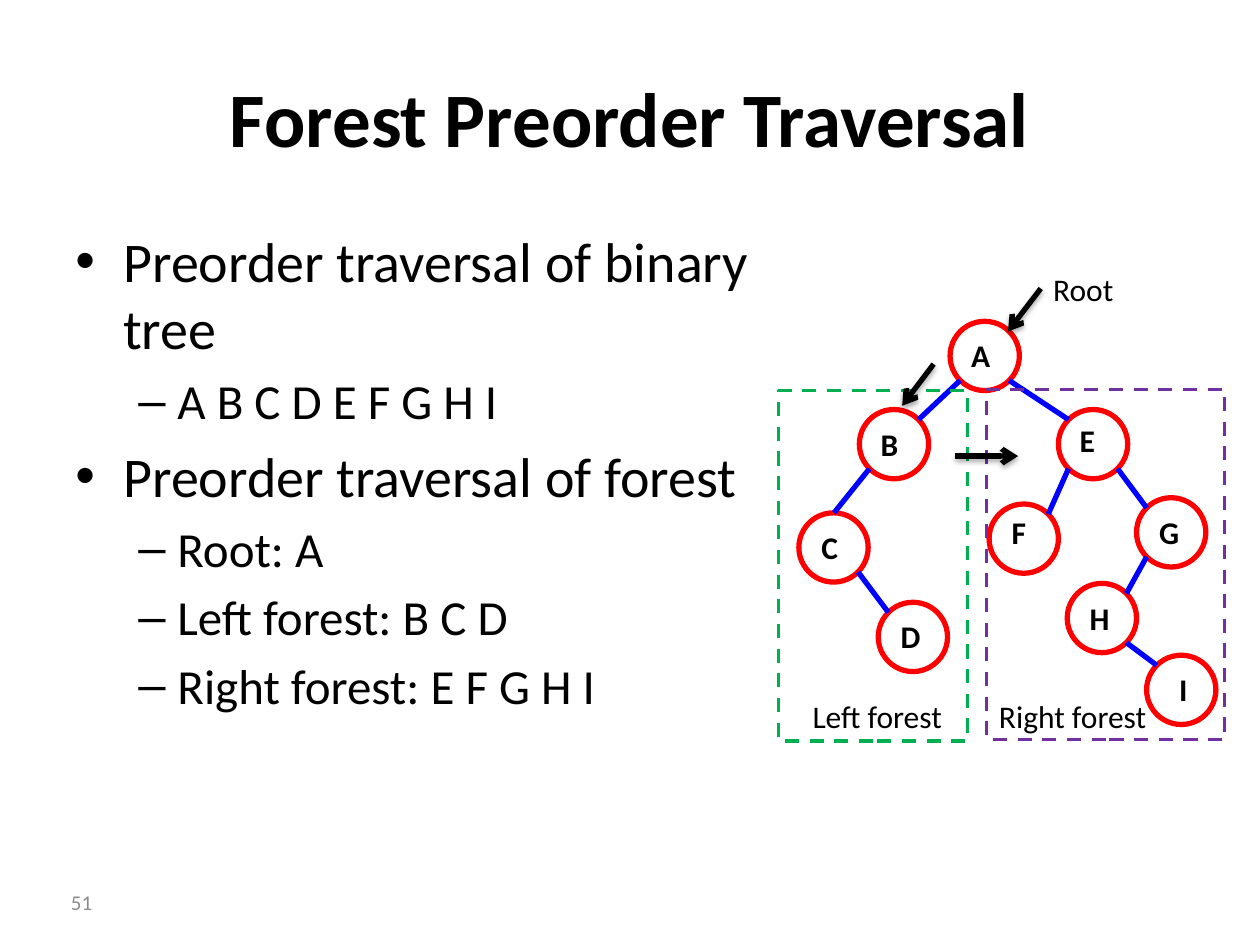
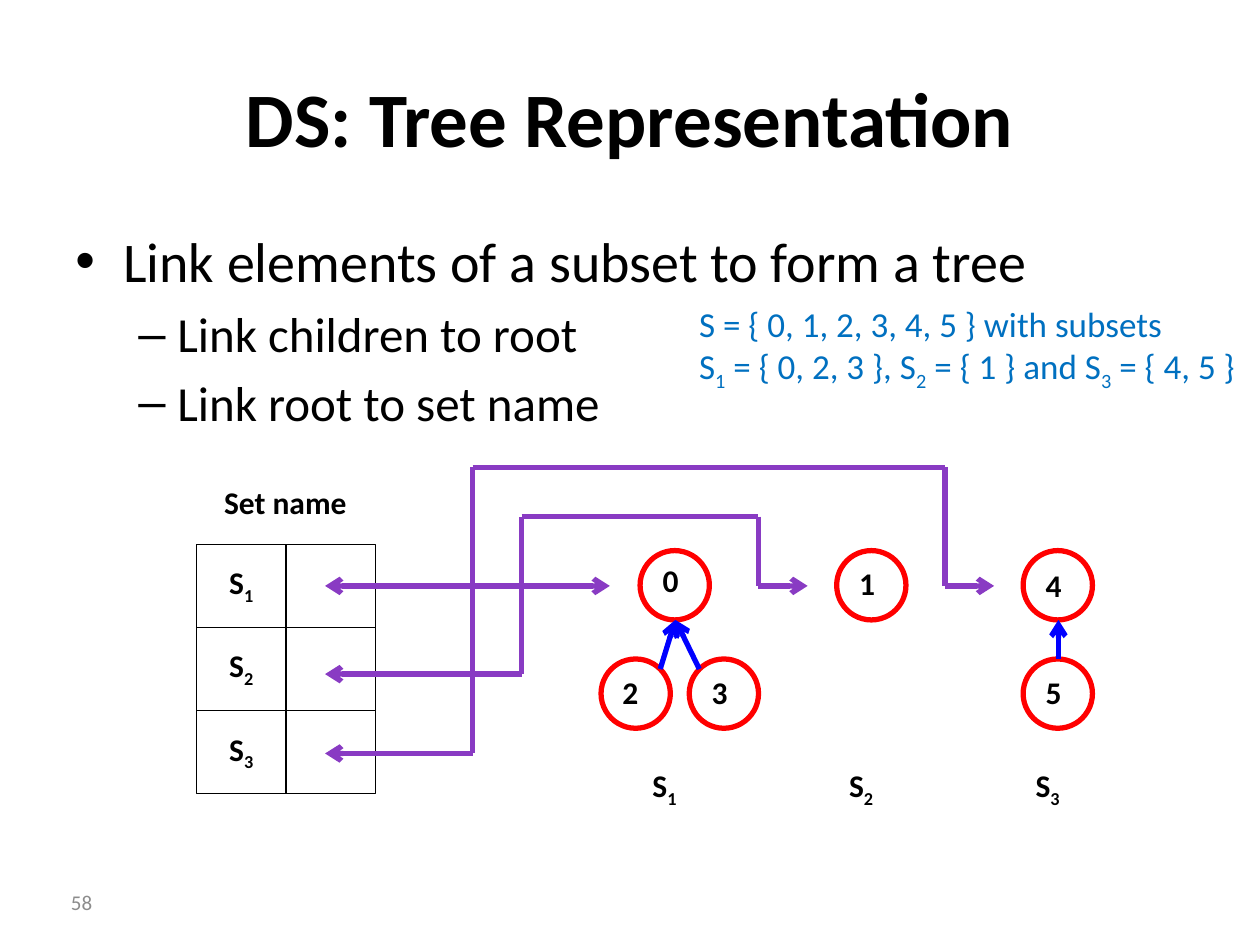
"""Build two slides on forest traversal and the tree representation of disjoint sets."""
from itertools import pairwise

from lxml import etree
from pptx import Presentation
from pptx.dml.color import RGBColor
from pptx.enum.dml import MSO_LINE
from pptx.enum.shapes import MSO_CONNECTOR, MSO_SHAPE
from pptx.enum.text import MSO_ANCHOR as ANCHOR, PP_ALIGN as ALIGN
from pptx.oxml import parse_xml
from pptx.oxml.ns import nsdecls, qn
from pptx.util import Pt

PX = 9144
FONT = "Calibri"
COLORS = {
    "black": "000000", "gray": "8C8C8C", "red": "FF0000", "blue": "0000FF",
    "green": "00B050", "violet": "7030A0", "purple": "893BC3", "sky": "0070C0",
}
RGB = {name: RGBColor.from_string(value) for name, value in COLORS.items()}
BULLETS = {"•": (0, 38, -38, 32), "–": (1, 81, -31, 28)}
NODE = 55
SITES = {"n": (28, 0), "s": (28, 55), "nw": (8, 8), "ne": (47, 8), "sw": (8, 47), "se": (47, 47)}
SHADOW = (
    f'<a:effectLst {nsdecls("a")}><a:outerShdw blurRad="39370" dist="22860" dir="5400000" '
    'rotWithShape="0"><a:srgbClr val="000000"><a:alpha val="35000"/></a:srgbClr>'
    "</a:outerShdw></a:effectLst>"
)


def text(sp, content, size=18, bold=False, color="black", align=ALIGN.LEFT,
         anchor=ANCHOR.TOP, inset_y=5, wrap=True):
    """Fill a shape with lines; a leading bullet sets the level, underscores enclose subscripts."""
    tf = sp.text_frame
    tf.word_wrap, tf.vertical_anchor = wrap, anchor
    tf.margin_left = tf.margin_right = 10 * PX
    tf.margin_top = tf.margin_bottom = inset_y * PX
    for i, line in enumerate(content.split("\n")):
        p = tf.add_paragraph() if i else tf.paragraphs[0]
        p.alignment = align
        line_size = size
        if line[0] in BULLETS:
            p.level, margin, indent, line_size = BULLETS[line[0]]
            pPr = p._p.get_or_add_pPr()
            pPr.set("marL", str(margin * PX))
            pPr.set("indent", str(indent * PX))
            p.space_before = Pt(line_size * 0.2 if i else 0)
            etree.SubElement(pPr, qn("a:buFont"), typeface="Arial")
            etree.SubElement(pPr, qn("a:buChar"), char=line[0])
            line = line[1:]
        for j, piece in enumerate(line.split("_")):
            if not piece:
                continue
            r = p.add_run()
            r.text = piece
            r.font.name, r.font.size, r.font.bold = FONT, Pt(line_size), bold
            r.font.color.rgb = RGB[color]
            if j % 2:
                r._r.get_or_add_rPr().set("baseline", "-25000")


def connect(s, start, end, color, head=False, tail=False, shadow=False):
    """Draw a straight line with optional arrowheads at its start and end."""
    c = s.shapes.add_connector(MSO_CONNECTOR.STRAIGHT, *[v * PX for v in (*start, *end)])
    c.line.color.rgb = RGB[color]
    c.line.width = Pt(3)
    spPr = c._element.spPr
    ln = spPr.find(qn("a:ln"))
    for tag, wanted in (("a:headEnd", head), ("a:tailEnd", tail)):
        if wanted:
            etree.SubElement(ln, qn(tag), type="arrow")
    spPr.append(parse_xml(SHADOW if shadow else f'<a:effectLst {nsdecls("a")}/>'))


forest_nodes = {
    "A": (754, 255, 761, 252), "B": (682, 325, 689, 322), "C": (634, 407, 642, 404),
    "D": (697, 478, 705, 475), "E": (840, 325, 847, 319), "F": (785, 400, 793, 392),
    "G": (902, 395, 910, 392), "H": (847, 463, 855, 460), "I": (910, 520, 926, 517),
}
forest_edges = [
    ("A", "sw", "B", "ne"), ("A", "se", "E", "nw"), ("B", "sw", "C", "n"), ("C", "se", "D", "nw"),
    ("E", "sw", "F", "ne"), ("E", "se", "G", "nw"), ("G", "sw", "H", "ne"), ("H", "se", "I", "nw"),
]
set_nodes = {
    "0": (508, 437, 516, 430), "1": (664, 437, 672, 433), "2": (477, 523, 484, 519),
    "3": (547, 523, 555, 519), "4": (812, 437, 820, 434), "5": (812, 523, 820, 519),
}
set_edges = [("3", "nw", "0", "s"), ("2", "ne", "0", "s"), ("5", "n", "4", "s")]
forest_body = """•Preorder traversal of binary tree
–A B C D E F G H I
•Preorder traversal of forest
–Root: A
–Left forest: B C D
–Right forest: E F G H I"""
set_body = """•Link elements of a subset to form a tree
–Link children to root
–Link root to set name"""

prs = Presentation()
prs.slide_width, prs.slide_height = 1000 * PX, 750 * PX

for title, body, body_w, number, nodes, edges, arrows in (
    ("Forest Preorder Traversal", forest_body, 568, "51", forest_nodes, forest_edges, False),
    ("DS: Tree Representation", set_body, 900, "58", set_nodes, set_edges, True),
):
    s = prs.slides.add_slide(prs.slide_layouts[6])
    sp = s.shapes.add_textbox(50 * PX, 30 * PX, 900 * PX, 125 * PX)
    text(sp, title, size=44, bold=True, align=ALIGN.CENTER, anchor=ANCHOR.MIDDLE)
    sp = s.shapes.add_textbox(50 * PX, 175 * PX, body_w * PX, 495 * PX)
    text(sp, body)
    sp = s.shapes.add_textbox(30 * PX, 696 * PX, 53 * PX, 40 * PX)
    text(sp, number, size=12, color="gray", align=ALIGN.RIGHT, anchor=ANCHOR.MIDDLE)
    for name, (x, y, label_x, label_y) in nodes.items():
        sp = s.shapes.add_shape(MSO_SHAPE.OVAL, x * PX, y * PX, NODE * PX, NODE * PX)
        sp.shadow.inherit = False
        sp.fill.background()
        sp.line.color.rgb, sp.line.width = RGB["red"], Pt(3)
        sp = s.shapes.add_textbox(label_x * PX, label_y * PX, 39 * PX, 61 * PX)
        text(sp, name, bold=True, inset_y=15)
    for first, first_site, second, second_site in edges:
        start, end = [
            (nodes[name][0] + SITES[site][0], nodes[name][1] + SITES[site][1])
            for name, site in ((first, first_site), (second, second_site))
        ]
        connect(s, start, end, "blue", tail=arrows)

forest, sets = prs.slides

for x, y, w, color in ((618, 310, 150, "green"), (783, 309, 189, "violet")):
    sp = forest.shapes.add_shape(MSO_SHAPE.RECTANGLE, x * PX, y * PX, w * PX, 278 * PX)
    sp.shadow.inherit = False
    sp.fill.background()
    sp.line.color.rgb, sp.line.width = RGB[color], Pt(2)
    sp.line.dash_style = MSO_LINE.DASH
for label, x, y, w in (
    ("Root", 826, 209, 68), ("Left forest", 635, 548, 125), ("Right forest", 783, 548, 138),
):
    sp = forest.shapes.add_textbox(x * PX, y * PX, w * PX, 40 * PX)
    text(sp, label, wrap=False)
for start, end in (((826, 229), (800, 263)), ((741, 289), (716, 322)), ((758, 362), (808, 362))):
    connect(forest, start, end, "black", tail=True, shadow=True)

sp = sets.shapes.add_textbox(156 * PX, 368 * PX, 141 * PX, 61 * PX)
text(sp, "Set name", bold=True, align=ALIGN.CENTER, inset_y=15)
for row, tree_x in enumerate((508, 664, 812)):
    name = f"S_{row + 1}_"
    for col, content in enumerate((name, "")):
        sp = sets.shapes.add_shape(
            MSO_SHAPE.RECTANGLE, (156 + 71 * col) * PX, (432 + 66 * row) * PX, 71 * PX, 66 * PX)
        sp.shadow.inherit = False
        sp.fill.background()
        sp.line.color.rgb, sp.line.width = RGB["black"], Pt(0.75)
        if content:
            text(sp, content, bold=True, align=ALIGN.CENTER, inset_y=15)
    sp = sets.shapes.add_textbox(tree_x * PX, 593 * PX, 62 * PX, 66 * PX)
    text(sp, name, bold=True, inset_y=15)

for route in (
    [(258, 465), (484, 465)],
    [(258, 535), (414, 535), (414, 410), (602, 410), (602, 465), (641, 465)],
    [(258, 598), (375, 598), (375, 371), (750, 371), (750, 465), (789, 465)],
):
    for start, end in pairwise(route):
        connect(sets, start, end, "purple", head=start == route[0], tail=end == route[-1])

sp = sets.shapes.add_textbox(545 * PX, 235 * PX, 455 * PX, 77 * PX)
text(sp, "S = { 0, 1, 2, 3, 4, 5 } with subsets\n"
     "S_1_ = { 0, 2, 3 }, S_2_ = { 1 } and S_3_ = { 4, 5 }", size=20, color="sky")

prs.save("out.pptx")
